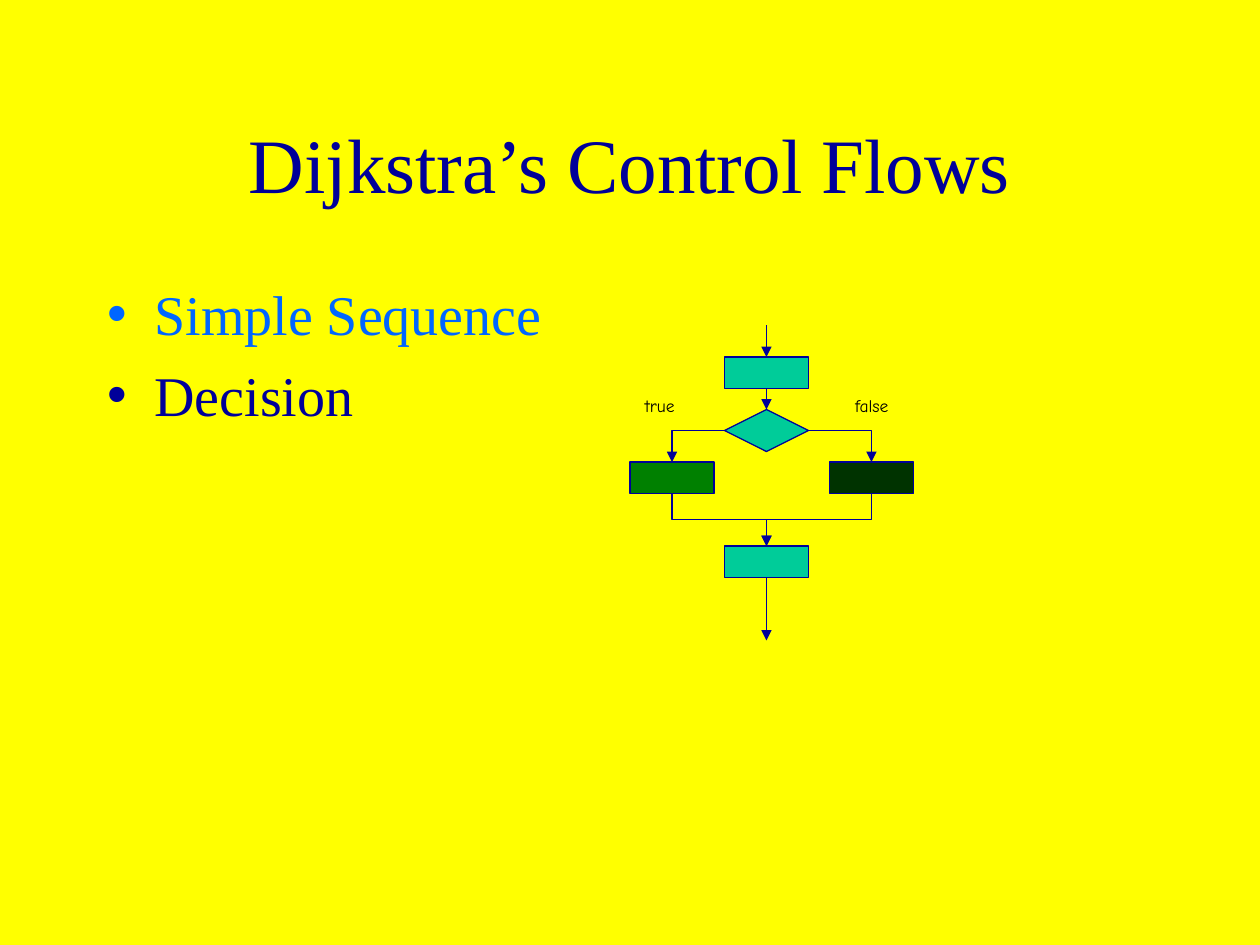
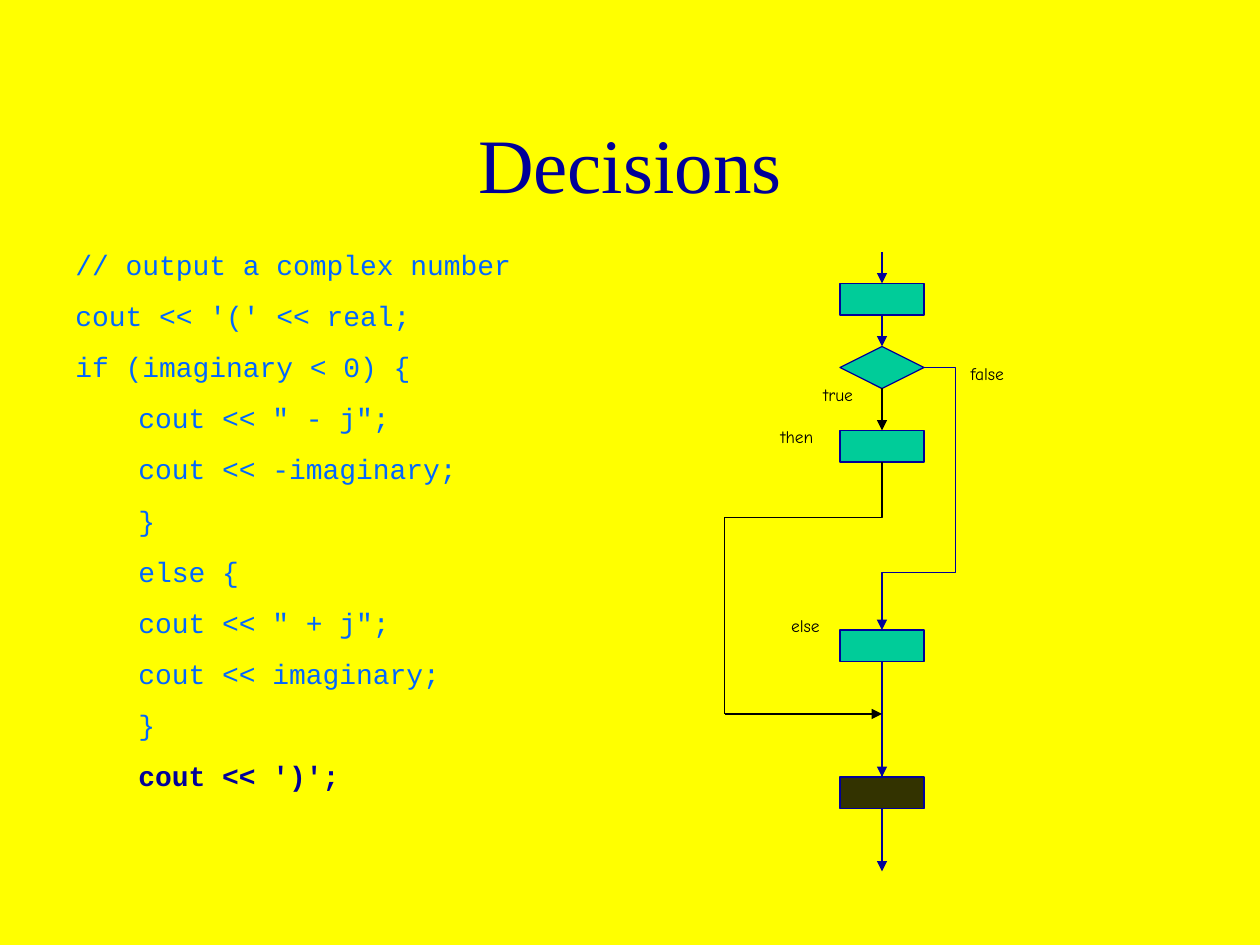
from lxml.etree import SubElement as Sub
from pptx import Presentation
from pptx.dml.color import RGBColor as Rgb
from pptx.enum.shapes import MSO_CONNECTOR as Wire, MSO_SHAPE as Kind
from pptx.enum.text import MSO_ANCHOR as Anchor, MSO_AUTO_SIZE as Auto, PP_ALIGN as Align
from pptx.oxml.ns import qn
from pptx.util import Pt

HUES = {
    "back": "FFFF00", "navy": "000099", "blue": "0066FF", "teal": "00CC99",
    "green": "008000", "pine": "003300", "olive": "333300", "black": "000000",
}
SERIF, MONO, HAND = "Times New Roman", "Courier New", "Comic Neue"
WIDE, TALL = 48, 18  # process box; a decision is 24 high
TOP, LEFT, BOTTOM, RIGHT = range(4)
LINE = 0.75

CODE = [  # text, indented
    ("// output a complex number", False),
    ("cout << '(' << real;", False),
    ("if (imaginary < 0) {", False),
    ('cout << " - j";', True),
    ("cout << -imaginary;", True),
    ("}", True),
    ("else {", True),
    ('cout << " + j";', True),
    ("cout << imaginary;", True),
    ("}", True),
    ("cout << ')';", True),
]


def hue(name):
    return Rgb.from_string(HUES[name])


def place(shape, left, top, width, height):
    shape.left, shape.top = Pt(left), Pt(top)
    shape.width, shape.height = Pt(width), Pt(height)


def style(para, font, size, color, bold=False):
    for run in para.runs:
        run.font.name, run.font.size = font, Pt(size)
        run.font.bold = bold
        run.font.color.rgb = hue(color)


def start(prs, layout, title):
    """Add a slide with the shared title style."""
    slide = prs.slides.add_slide(prs.slide_layouts[layout])
    head = slide.shapes.title
    place(head, 54, 48, 612, 90)
    frame = head.text_frame
    frame.text = title
    frame.auto_size, frame.vertical_anchor = Auto.NONE, Anchor.MIDDLE
    frame.paragraphs[0].alignment = Align.CENTER
    style(frame.paragraphs[0], SERIF, 44, "navy")
    return slide


def points(slide, items):
    body = slide.placeholders[1]
    place(body, 54, 156, 612, 324)
    frame = body.text_frame
    frame.text = "\n".join(text for text, _ in items)
    frame.auto_size = Auto.NONE
    for para, (_, color) in zip(frame.paragraphs, items):
        para.space_before = Pt(8)
        style(para, SERIF, 32, color)


def listing(slide):
    frame = slide.shapes.add_textbox(Pt(36), Pt(138), Pt(300), Pt(318)).text_frame
    frame.word_wrap = True
    frame.text = "\n".join(text for text, _ in CODE)
    for para, (_, inner) in zip(frame.paragraphs, CODE):
        para.space_before = Pt(10)
        if inner:
            para._p.get_or_add_pPr().set("marL", str(Pt(36)))
        style(para, MONO, 16, "blue")
    style(frame.paragraphs[-1], MONO, 16, "navy", bold=True)


def label(slide, text, left, top, width):
    frame = slide.shapes.add_textbox(Pt(left), Pt(top), Pt(width), Pt(19.2)).text_frame
    frame.word_wrap, frame.auto_size = False, Auto.SHAPE_TO_FIT_TEXT
    frame.text = text
    style(frame.paragraphs[0], HAND, 10, "black")


def node(slide, mid, top, color="teal", kind=Kind.FLOWCHART_PROCESS, tall=TALL):
    shape = slide.shapes.add_shape(
        kind, Pt(mid - WIDE / 2), Pt(top), Pt(WIDE), Pt(tall))
    shape.shadow.inherit = False
    shape.fill.solid()
    shape.fill.fore_color.rgb = hue(color)
    shape.line.color.rgb = hue("navy")
    shape.line.width = Pt(LINE)
    return shape


def choice(slide, mid, top):
    return node(slide, mid, top, kind=Kind.FLOWCHART_DECISION, tall=24)


def spot(end):
    """Give the place of an end: (x, y) in points or (shape, side)."""
    shape, side = end
    if isinstance(shape, int):
        return Pt(shape), Pt(side)
    across = {LEFT: 0, RIGHT: 2}.get(side, 1)
    down = {TOP: 0, BOTTOM: 2}.get(side, 1)
    return (shape.left + shape.width * across // 2,
            shape.top + shape.height * down // 2)


def ink(wire, color, head):
    wire.line.color.rgb = hue(color)
    wire.line.width = Pt(LINE)
    if head:
        Sub(wire.line._get_or_add_ln(), qn("a:tailEnd"), type="triangle")
    Sub(wire._element.spPr, qn("a:effectLst"))


def line(slide, tail, tip, color="navy", head=True):
    wire = slide.shapes.add_connector(Wire.STRAIGHT, *spot(tail), *spot(tip))
    for (shape, side), join in ((tail, wire.begin_connect), (tip, wire.end_connect)):
        if not isinstance(shape, int):
            join(shape, side)
    ink(wire, color, head)


def elbow(slide, tail, tip, legs, turn=0, flip=None, bends=(),
          color="navy", head=True):
    """Draw a bent connector of 2 to 4 legs; bends are shares of its frame."""
    (x1, y1), (x2, y2) = spot(tail), spot(tip)
    wide, tall = abs(x2 - x1), abs(y2 - y1)
    if turn % 180:
        wide, tall = tall, wide
    left, top = (x1 + x2 - wide) // 2, (y1 + y2 - tall) // 2
    wire = slide.shapes.add_connector(Wire.ELBOW, left, top, left + wide, top + tall)
    props = wire._element.spPr
    frame, geom = props.find(qn("a:xfrm")), props.find(qn("a:prstGeom"))
    frame.set("rot", str(turn * 60000))
    if flip:
        frame.set(flip, "1")
    geom.set("prst", f"bentConnector{legs}")
    guides = geom.find(qn("a:avLst"))
    for i, bend in enumerate(bends, 1):
        Sub(guides, qn("a:gd"), name=f"adj{i}", fmla=f"val {round(bend * 100000)}")
    ink(wire, color, head)


def flows(prs):
    slide = start(prs, 1, "Dijkstra’s Control Flows")
    points(slide, [("Simple Sequence", "blue"), ("Decision", "navy")])
    mid = 438
    first, last = node(slide, mid, 204), node(slide, mid, 312)
    test = choice(slide, mid, 234)
    no, yes = node(slide, 498, 264, "pine"), node(slide, 384, 264, "green")
    line(slide, (mid, 186), (first, TOP))
    line(slide, (first, BOTTOM), (test, TOP))
    line(slide, (mid, 300), (last, TOP))
    line(slide, (last, BOTTOM), (mid, 366))
    elbow(slide, (test, RIGHT), (no, TOP), 2)
    elbow(slide, (test, LEFT), (yes, TOP), 2, 180, "flipV")
    elbow(slide, (yes, BOTTOM), (last, TOP), 3, 270, "flipH", [0.5])
    elbow(slide, (no, BOTTOM), (last, TOP), 3, 90, bends=[0.5], head=False)
    label(slide, "true", 361.5, 222, 33)
    label(slide, "false", 481.5, 222, 35)


def cases(prs):
    slide = start(prs, 5, "Decisions")
    listing(slide)
    mid = 504
    first, last = node(slide, mid, 162), node(slide, mid, 444, "olive")
    test = choice(slide, mid, 198)
    other, then = node(slide, mid, 360), node(slide, mid, 246)
    line(slide, (mid, 144), (first, TOP))
    line(slide, (first, BOTTOM), (test, TOP))
    line(slide, (mid, 432), (last, TOP))
    line(slide, (last, BOTTOM), (mid, 498))
    line(slide, (other, BOTTOM), (last, TOP), head=False)
    line(slide, (test, BOTTOM), (then, TOP), "black")
    elbow(slide, (test, RIGHT), (other, TOP), 4, flip="flipH", bends=[-0.75, 0.78])
    join = (414, 408)
    elbow(slide, (then, BOTTOM), join, 3, 90, bends=[0.22], color="black", head=False)
    line(slide, join, (mid, 408), "black")
    label(slide, "true", 463.5, 216, 33)
    label(slide, "false", 547.5, 204, 35)
    label(slide, "else", 445, 348, 32)
    label(slide, "then", 439, 240, 34)


def main():
    prs = Presentation()
    prs.slide_width, prs.slide_height = Pt(720), Pt(540)
    back = prs.slide_master.background.fill
    back.solid()
    back.fore_color.rgb = hue("back")
    flows(prs)
    cases(prs)
    prs.save("out.pptx")


if __name__ == "__main__":
    main()
